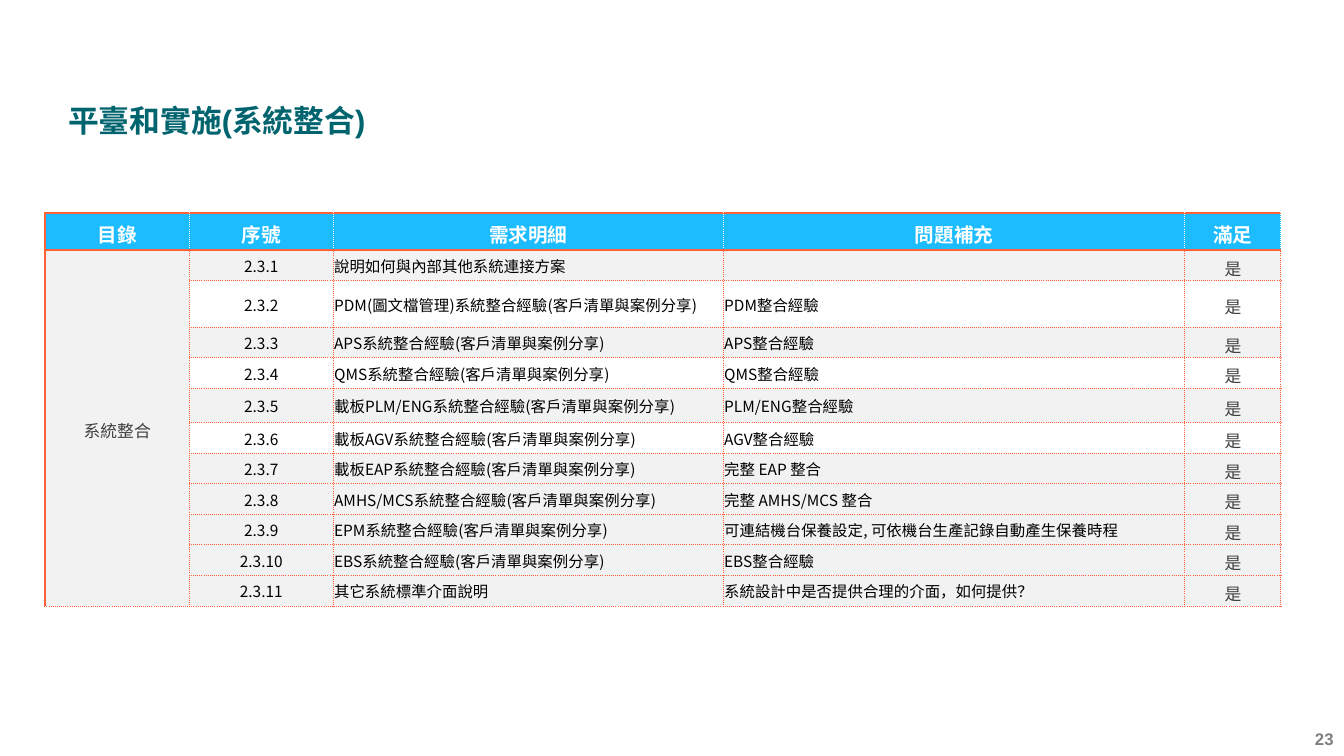
from lxml.etree import SubElement
from pptx import Presentation
from pptx.dml.color import RGBColor
from pptx.enum.text import MSO_ANCHOR, PP_ALIGN
from pptx.oxml.ns import qn
from pptx.util import Cm, Pt

TITLE = "平臺和實施(系統整合)"
PAGE = "23"
HEADERS = ["目錄", "序號", "需求明細", "問題補充", "滿足"]
CATEGORY = "系統整合"
ANSWER = "是"
REQUIREMENTS = [
    ("說明如何與內部其他系統連接方案", ""),
    ("PDM(圖文檔管理)系統整合經驗(客戶清單與案例分享)", "PDM整合經驗"),
    ("APS系統整合經驗(客戶清單與案例分享)", "APS整合經驗"),
    ("QMS系統整合經驗(客戶清單與案例分享)", "QMS整合經驗"),
    ("載板PLM/ENG系統整合經驗(客戶清單與案例分享)", "PLM/ENG整合經驗"),
    ("載板AGV系統整合經驗(客戶清單與案例分享)", "AGV整合經驗"),
    ("載板EAP系統整合經驗(客戶清單與案例分享)", "完整 EAP 整合"),
    ("AMHS/MCS系統整合經驗(客戶清單與案例分享)", "完整 AMHS/MCS 整合"),
    ("EPM系統整合經驗(客戶清單與案例分享)", "可連結機台保養設定, 可依機台生產記錄自動產生保養時程"),
    ("EBS系統整合經驗(客戶清單與案例分享)", "EBS整合經驗"),
    ("其它系統標準介面說明", "系統設計中是否提供合理的介面，如何提供？"),
]
COLORS = {
    "title": "00646E", "page": "7F7F7F", "header": "1DBCFF", "border": "FF6238",
    "white": "FFFFFF", "band": "F2F2F2", "black": "000000", "dark": "404040",
}
CJK = "Noto Sans CJK SC"
COL_WIDTHS = [3.63, 3.63, 9.83, 11.63, 2.42]
ROW_HEIGHT = 0.77
TALL_ROWS = {0: 0.94, 2: 1.17, 5: 0.87}
WHITE_ROWS = (2, 4, 6)


def rgb(name):
    return RGBColor.from_string(COLORS[name])


def style_text(p, size, color, font, bold=False):
    for r in p.runs:
        r.font.size = Pt(size)
        r.font.bold = bold
        r.font.name = font
        r.font.color.rgb = rgb(color)
        SubElement(r._r.get_or_add_rPr(), qn("a:ea"), typeface=CJK)
    if not p.runs:
        SubElement(p._p, qn("a:endParaRPr"), sz=str(size * 100))


def add_text(slide, box, margins, text, size, color):
    s = slide.shapes.add_textbox(*[Cm(v) for v in box])
    tf = s.text_frame
    tf.word_wrap = True
    tf.vertical_anchor = MSO_ANCHOR.MIDDLE
    tf.margin_left, tf.margin_top, tf.margin_right, tf.margin_bottom = [Cm(v) for v in margins]
    tf.text = text
    p = tf.paragraphs[0]
    style_text(p, size, color, "Arial", True)
    return p


def add_border(cell, side, color, solid):
    ln = SubElement(cell._tc.get_or_add_tcPr(), qn(f"a:ln{side}"), w=str(Pt(1.5 if solid else 0.75)))
    fill = SubElement(ln, qn("a:solidFill"))
    SubElement(fill, qn("a:srgbClr"), val=COLORS[color])
    SubElement(ln, qn("a:prstDash"), val="solid" if solid else "sysDot")


def style_cell(cell, row, col, text):
    header = row == 0
    inner = "white" if header else "border"
    add_border(cell, "L", "border" if col == 0 else inner, col == 0)
    add_border(cell, "R", inner, False)
    add_border(cell, "T", "border", row < 2)
    add_border(cell, "B", "border", header)
    cell.fill.solid()
    white = row in WHITE_ROWS and col > 0
    cell.fill.fore_color.rgb = rgb("header" if header else "white" if white else "band")

    cell.vertical_anchor = MSO_ANCHOR.MIDDLE
    roomy = header or col in (0, 4)
    cell.margin_left = cell.margin_right = Cm(0.48 if roomy else 0.02)
    cell.margin_top = Cm(0.02)
    cell.margin_bottom = Cm(0.02 if roomy else 0)
    cell.text_frame.text = text
    p = cell.text_frame.paragraphs[0]
    p.alignment = PP_ALIGN.CENTER if roomy or col == 1 else PP_ALIGN.LEFT
    if roomy:
        p.line_spacing = 1.2
    size, color = (14, "white") if header else (12, "dark") if roomy else (11, "black")
    style_text(p, size, color, CJK, header)


def add_requirements(slide):
    rows = [HEADERS] + [
        (CATEGORY if n == 1 else "", f"2.3.{n}", detail, note, ANSWER)
        for n, (detail, note) in enumerate(REQUIREMENTS, 1)
    ]
    heights = [TALL_ROWS.get(i, ROW_HEIGHT) for i in range(len(rows))]
    table = slide.shapes.add_table(
        len(rows), len(HEADERS), Cm(1.14), Cm(5.36), Cm(sum(COL_WIDTHS)), Cm(sum(heights))
    ).table
    for column, width in zip(table.columns, COL_WIDTHS):
        column.width = Cm(width)
    for i, texts in enumerate(rows):
        table.rows[i].height = Cm(heights[i])
        for j, text in enumerate(texts):
            style_cell(table.cell(i, j), i, j, text)
    table.cell(1, 0).merge(table.cell(len(rows) - 1, 0))


def main():
    prs = Presentation()
    prs.slide_width, prs.slide_height = Cm(33.87), Cm(19.05)
    slide = prs.slides.add_slide(prs.slide_layouts[6])
    p = add_text(slide, (32.31, 18.21, 1.55, 0.84), (0.25, 0.13, 0.25, 0.13), PAGE, 12, "page")
    p.alignment = PP_ALIGN.RIGHT
    add_text(slide, (-0.03, 1.32, 33.87, 2.9), (1.75, 1.19, 5.89, 0.66), TITLE, 22, "title")
    add_requirements(slide)
    prs.save("out.pptx")


if __name__ == "__main__":
    main()
